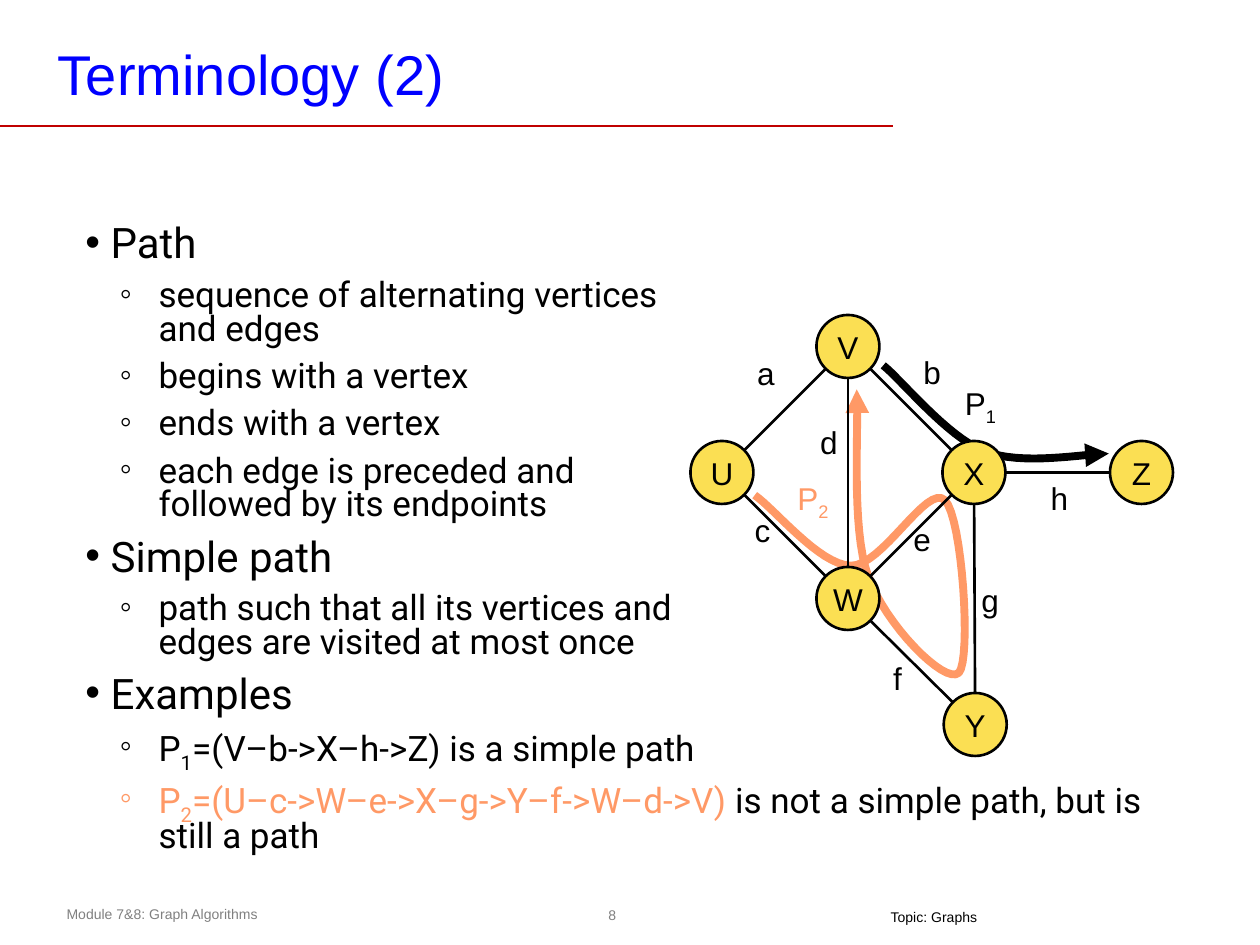
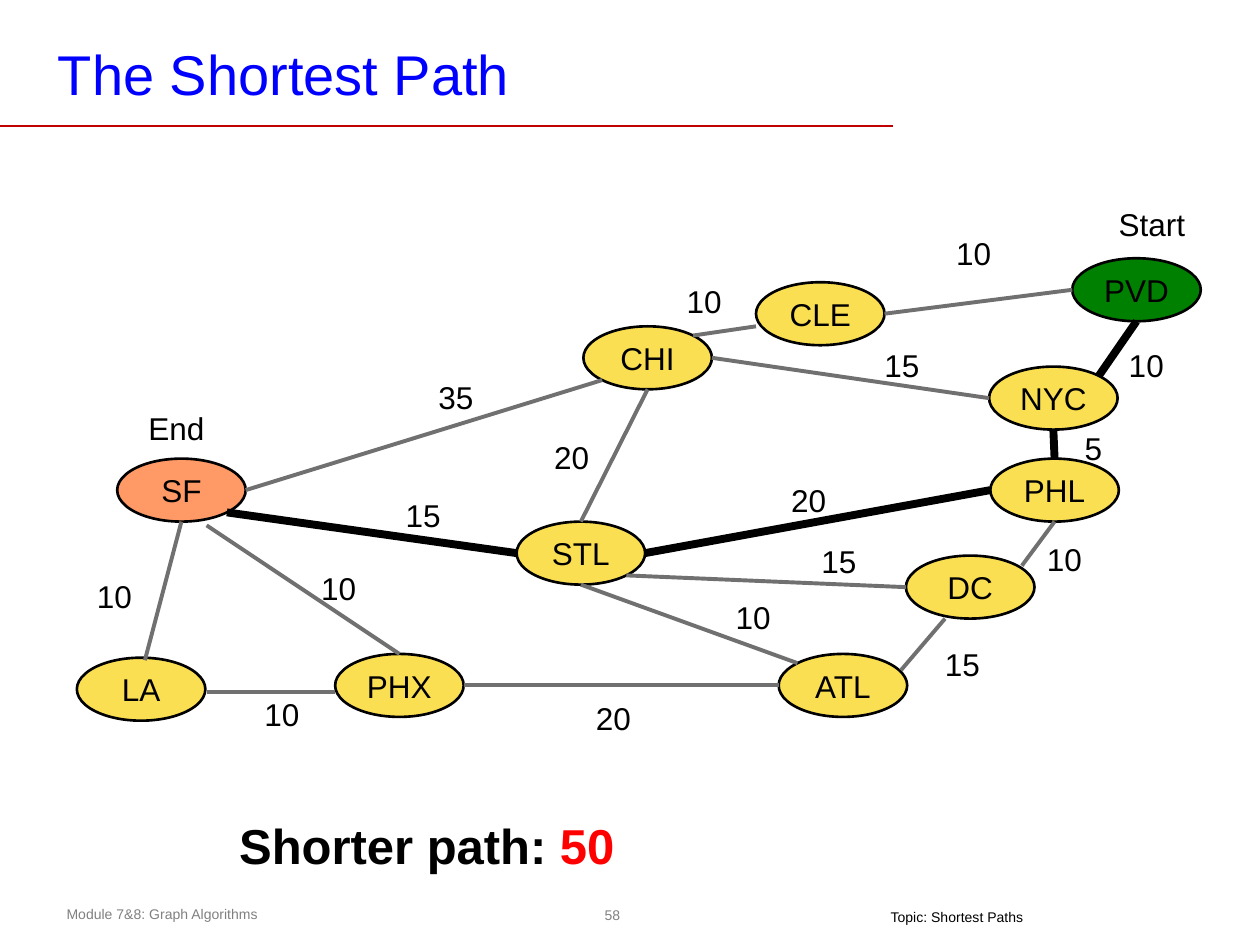
from math import hypot

from lxml.etree import SubElement
from pptx import Presentation
from pptx.dml.color import RGBColor
from pptx.enum.shapes import MSO_CONNECTOR, MSO_SHAPE
from pptx.enum.text import MSO_ANCHOR, PP_ALIGN
from pptx.oxml.ns import qn
from pptx.util import Inches, Pt

BLACK, GREY, EDGE_GREY = "000000", "808080", "707070"
BLUE, DARK_RED, RED = "0000FF", "C00000", "FF0000"
YELLOW, ORANGE, GREEN = "FBDF53", "FF9966", "008000"
COLUMNS, ROWS = 10, 7.5
DIAGONAL = 0.5 ** 0.5
COMPASS = {
    "N": (0, -1), "S": (0, 1), "W": (-1, 0), "E": (1, 0),
    "NW": (-DIAGONAL, -DIAGONAL), "NE": (DIAGONAL, -DIAGONAL),
    "SW": (-DIAGONAL, DIAGONAL), "SE": (DIAGONAL, DIAGONAL),
}


def rgb(value):
    return RGBColor.from_string(value)


def rim(node, direction):
    """Point where a direction from the centre meets the ellipse."""
    cx, cy, rx, ry = node
    return cx + rx * direction[0], cy + ry * direction[1]


def bezier(start, segments, steps=16):
    """Points along a chain of cubic curves, without the start."""
    points = []
    for a, b, end in segments:
        for i in range(1, steps + 1):
            t = i / steps
            u = 1 - t
            weights = (u ** 3, 3 * u * u * t, 3 * u * t * t, t ** 3)
            points.append(tuple(
                sum(w * p[axis] for w, p in zip(weights, (start, a, b, end)))
                for axis in (0, 1)))
        start = end
    return points


class Deck:
    """Style, grid and current slide."""

    def __init__(self):
        self.prs = Presentation()
        self.prs.slide_width = Inches(10)
        self.prs.slide_height = Inches(7.5)
        self.s = None

    def x(self, columns):
        return round(self.prs.slide_width * columns / COLUMNS)

    def y(self, rows):
        return round(self.prs.slide_height * rows / ROWS)

    def box(self, left, top, width, height):
        return self.x(left), self.y(top), self.x(width), self.y(height)

    def new_slide(self, title, number, topic):
        self.s = self.prs.slides.add_slide(self.prs.slide_layouts[6])
        # Footer
        self.text((4.74, 7.13, 0.24, 0.26), [(number, GREY)], 8, wrap=False,
                  align=PP_ALIGN.CENTER, anchor=MSO_ANCHOR.MIDDLE,
                  insets=(0.04, 0.04))
        self.text((0.43, 7.14, 3.64, 0.24),
                  [("Module 7&8: Graph Algorithms", GREY)], 8)
        self.text((6.97, 7.21, 1.27, 0.17), [(topic, BLACK)], 8, wrap=False,
                  insets=(0.1, 0))
        # Title and its rule
        self.line((0, 1), (7.09, 1), DARK_RED, 1)
        self.text((0.39, 0.28, 7.42, 0.6), [(title, BLUE)], 32,
                  anchor=MSO_ANCHOR.BOTTOM, insets=(0.07, 0.03))

    def runs(self, p, parts, size, font="Arial", bold=False):
        """Each part is (text, colour) or (text, colour, baseline)."""
        for text, color, *baseline in parts:
            for i, row in enumerate(text.split("\n")):
                if i:
                    p.add_line_break()
                r = p.add_run()
                r.text = row
                r.font.name, r.font.size, r.font.bold = font, Pt(size), bold
                r.font.color.rgb = rgb(color)
                if baseline:
                    r.font._element.set("baseline", str(baseline[0] * 1000))

    def frame(self, shape, wrap, anchor, insets):
        tf = shape.text_frame
        tf.word_wrap = wrap
        tf.vertical_anchor = anchor
        tf.margin_left = tf.margin_right = self.x(insets[0])
        tf.margin_top = tf.margin_bottom = self.y(insets[1])
        return tf

    def text(self, place, parts, size=18, wrap=True, align=PP_ALIGN.LEFT,
             anchor=MSO_ANCHOR.TOP, insets=(0.1, 0.05), bold=False):
        shape = self.s.shapes.add_textbox(*self.box(*place))
        p = self.frame(shape, wrap, anchor, insets).paragraphs[0]
        p.alignment = align
        self.runs(p, parts, size, bold=bold)

    def label(self, left, top, *parts, width=0.5, wrap=False):
        self.text((left, top, width, 0.4), parts, wrap=wrap)

    def bullets(self, place, items):
        """Each item is (level, parts)."""
        shape = self.s.shapes.add_textbox(*self.box(*place))
        tf = self.frame(shape, True, MSO_ANCHOR.TOP, (0.1, 0.05))
        styles = [(24, 0.2, -0.2, "•"), (20, 0.58, -0.31, "◦")]
        for i, (level, parts) in enumerate(items):
            size, margin, indent, mark = styles[level]
            p = tf.add_paragraph() if i else tf.paragraphs[0]
            p.level = level
            p.line_spacing = 0.8
            p.space_before = Pt(0.39 * size if i else 0)
            pPr = p._p.get_or_add_pPr()
            pPr.set("marL", str(self.x(margin)))
            pPr.set("indent", str(self.x(indent)))
            SubElement(pPr, qn("a:buFont"), typeface="Arial")
            SubElement(pPr, qn("a:buChar"), char=mark)
            self.runs(p, parts, size, "Roboto")

    def node(self, name, left, top, width=0.5, height=0.5, fill=YELLOW):
        shape = self.s.shapes.add_shape(
            MSO_SHAPE.OVAL, *self.box(left, top, width, height))
        shape.shadow.inherit = False
        shape.fill.solid()
        shape.fill.fore_color.rgb = rgb(fill)
        shape.line.color.rgb = rgb(BLACK)
        shape.line.width = Pt(1.5)
        tf = self.frame(shape, False, MSO_ANCHOR.MIDDLE, (0.1, 0.05))
        p = tf.paragraphs[0]
        p.alignment = PP_ALIGN.CENTER
        self.runs(p, [(name, BLACK)], 18)
        return left + width / 2, top + height / 2, width / 2, height / 2

    def line(self, start, end, color, weight):
        line = self.s.shapes.add_connector(
            MSO_CONNECTOR.STRAIGHT, self.x(start[0]), self.y(start[1]),
            self.x(end[0]), self.y(end[1]))
        line.line.color.rgb = rgb(color)
        line.line.width = Pt(weight)
        SubElement(line._element.spPr, qn("a:effectLst"))

    def curve_arrow(self, start, segments, color):
        builder = self.s.shapes.build_freeform(
            self.x(start[0]), self.y(start[1]))
        builder.add_line_segments(
            [(self.x(a), self.y(b)) for a, b in bezier(start, segments)],
            close=False)
        shape = builder.convert_to_shape()
        shape.shadow.inherit = False
        shape.fill.background()
        shape.line.color.rgb = rgb(color)
        shape.line.width = Pt(4.5)
        ln = shape._element.spPr.find(qn("a:ln"))
        SubElement(ln, qn("a:round"))
        SubElement(ln, qn("a:tailEnd"), type="triangle")


def terminology(deck):
    deck.new_slide("Terminology (2)", "8", "Topic: Graphs")

    # Definitions
    plain = [
        (0, "Path"),
        (1, "sequence of alternating vertices \nand edges"),
        (1, "begins with a vertex"),
        (1, "ends with a vertex"),
        (1, "each edge is preceded and \nfollowed by its endpoints"),
        (0, "Simple path"),
        (1, "path such that all its vertices and \n"
            "edges are visited at most once"),
        (0, "Examples"),
    ]
    examples = [
        (1, [("P", BLACK), ("1", BLACK, -25),
             ("=(V–b->X–h->Z) is a simple path", BLACK)]),
        (1, [("P", ORANGE), ("2", ORANGE, -25),
             ("=(U–c->W–e->X–g->Y–f->W–d->V)", ORANGE),
             (" is not a simple path, but is still a path", BLACK)]),
    ]
    deck.bullets((0.58, 1.75, 8.58, 5.42),
                 [(level, [(text, BLACK)]) for level, text in plain] + examples)

    # The two example paths
    deck.curve_arrow((5.99, 3.93), [
        ((6.15, 4.04), (6.5, 4.48), (6.75, 4.49)),
        ((7, 4.5), (7.36, 3.83), (7.5, 3.97)),
        ((7.64, 4.11), (7.71, 5.24), (7.61, 5.34)),
        ((7.5, 5.44), (7.02, 4.95), (6.89, 4.57)),
        ((6.75, 4.2), (6.82, 3.34), (6.8, 3.09))], ORANGE)
    deck.curve_arrow((7.01, 2.9), [
        ((7.15, 3.01), (7.52, 3.47), (7.81, 3.58)),
        ((8.11, 3.7), (8.6, 3.6), (8.8, 3.6))], BLACK)
    deck.label(7.56, 3, ("P", BLACK), ("1", BLACK, -25))
    deck.label(6.23, 3.75, ("P", ORANGE), ("2", ORANGE, -25))

    # Vertices, then edges from rim to rim
    places = {"X": (7.48, 3.5), "U": (5.48, 3.5), "V": (6.48, 2.5),
              "W": (6.48, 4.5), "Z": (8.81, 3.5), "Y": (7.49, 5.5)}
    vertices = {name: deck.node(name, *at) for name, at in places.items()}
    for first, second in ("VU", "WU", "WX", "XZ", "VX", "VW", "WY", "XY"):
        a, b = vertices[first], vertices[second]
        dx, dy = b[0] - a[0], b[1] - a[1]
        length = hypot(dx, dy)
        toward = dx / length, dy / length
        back = -toward[0], -toward[1]
        deck.line(rim(a, toward), rim(b, back), BLACK, 1.5)

    # Edge names
    names = {"a": (5.91, 2.76), "b": (7.23, 2.75), "c": (5.89, 4.01),
             "d": (6.41, 3.31), "e": (7.15, 4.08), "f": (6.99, 5.18),
             "g": (7.69, 4.56), "h": (8.24, 3.75)}
    for name, (left, top) in names.items():
        deck.label(left, top, (name, BLACK), width=0.38)


def shortest_path(deck):
    deck.new_slide("The Shortest Path", "58", "Topic: Shortest Paths")

    # Cities
    places = {"ATL": (6.18, 5.19), "SF": (0.93, 3.64), "LA": (0.61, 5.22),
              "CLE": (6, 2.24), "DC": (7.19, 4.41), "PHL": (7.86, 3.64),
              "NYC": (7.85, 2.91), "PVD": (8.51, 2.05), "PHX": (2.66, 5.19),
              "STL": (4.1, 4.14), "CHI": (4.63, 2.59)}
    fills = {"SF": ORANGE, "PVD": GREEN}
    cities = {name: deck.node(name, *at, width=1.02,
                              fill=fills.get(name, YELLOW))
              for name, at in places.items()}

    def point(end):
        if isinstance(end, tuple):
            return end
        city, side = end.split()
        return rim(cities[city], COMPASS[side])

    # Roads: ends are a side of a city or a free point
    roads = [
        ("PVD W", "CLE E"), ((6, 2.59), "CHI NE"), ("CHI SW", "SF E"),
        ("PHL S", (8.11, 4.49)), ("NYC W", "CHI E"),
        ("PHX N", (1.64, 4.17)), ((1.15, 5.24), "SF S"),
        ("ATL W", "PHX E"), ("ATL NW", "STL S"), ("DC W", "STL SE"),
        ((7.5, 4.91), (7.15, 5.32)), ((2.66, 5.49), (1.64, 5.49)),
        ("STL N", "CHI S"),
    ]
    shortest = [("PVD S", "NYC NE"), ("NYC S", "PHL N"),
                ("PHL W", "STL E"), ("STL W", "SF SE")]
    for ends, color, weight in ((roads, EDGE_GREY, 2.25),
                                (shortest, BLACK, 4.5)):
        for start, end in ends:
            deck.line(point(start), point(end), color, weight)

    # Distances and the two end marks
    labels = {
        "5": [(8.51, 3.36)],
        "10": [(7.49, 1.81), (5.35, 2.19), (2.45, 4.47), (0.67, 4.53),
               (2, 5.47), (5.74, 4.7), (8.86, 2.7), (8.21, 4.24)],
        "15": [(3.12, 3.89), (7.4, 5.07), (6.92, 2.7), (6.42, 4.25)],
        "20": [(4.63, 5.5), (6.18, 3.77), (4.3, 3.43)],
        "35": [(3.38, 2.95)],
        "Start": [(8.78, 1.58)],
        "End": [(1.08, 3.2)],
    }
    for text, spots in labels.items():
        for left, top in spots:
            deck.label(left, top, (text, BLACK), wrap=True,
                       width=1.02 if text == "Start" else 0.72)

    # Result
    deck.text((1.8, 6.42, 5.59, 0.57),
              [("Shorter path: ", BLACK), ("50", RED)], 28, bold=True)


def main():
    deck = Deck()
    terminology(deck)
    shortest_path(deck)
    deck.prs.save("out.pptx")


if __name__ == "__main__":
    main()
